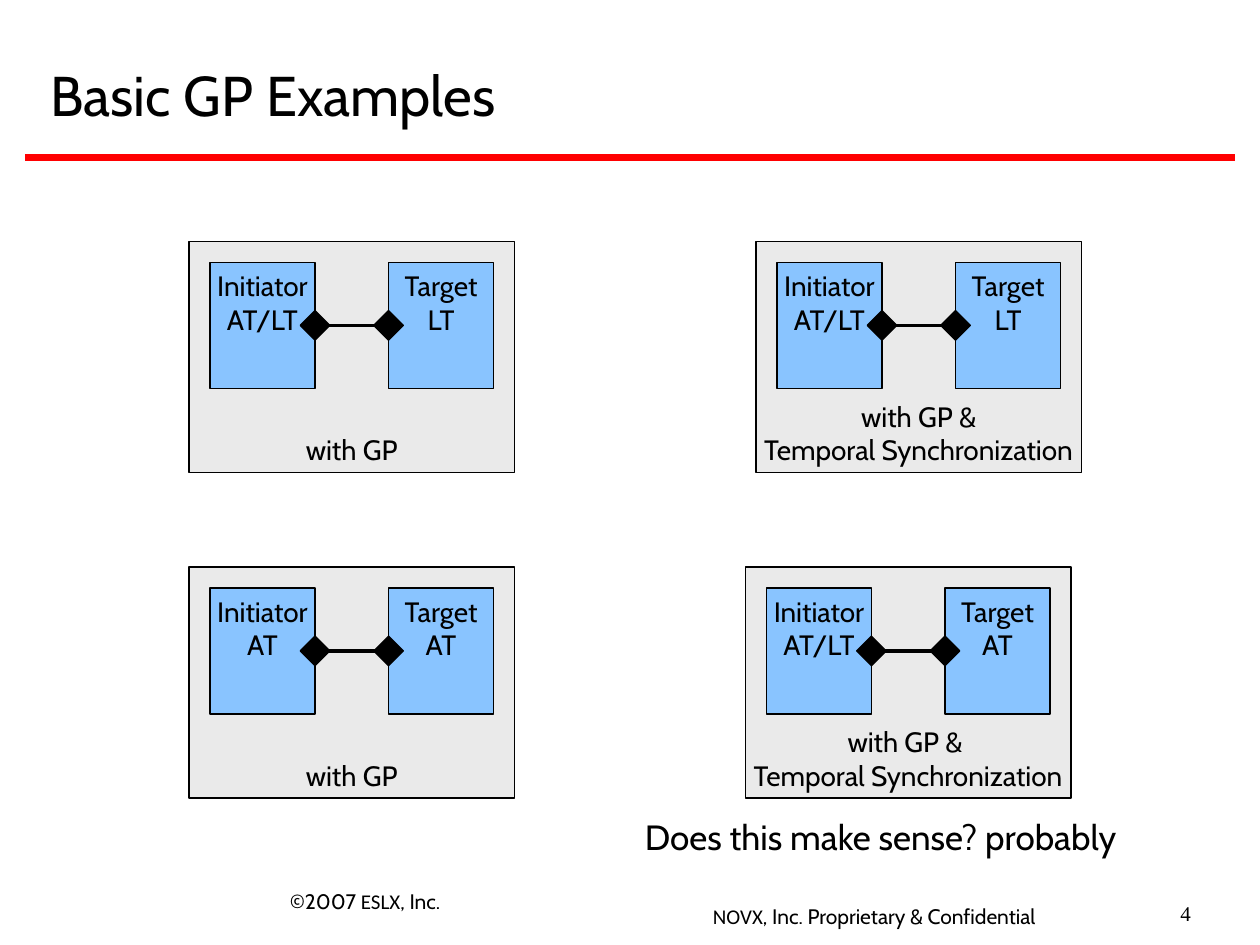
from dataclasses import dataclass

import pptx
import pptx.dml.color
import pptx.enum.shapes
import pptx.enum.text
import pptx.oxml.ns
import pptx.util
from lxml import etree

Pt = pptx.util.Pt
ALIGN = pptx.enum.text.PP_ALIGN
ANCHOR = pptx.enum.text.MSO_ANCHOR
AUTO_SIZE = pptx.enum.text.MSO_AUTO_SIZE
RECTANGLE = pptx.enum.shapes.MSO_SHAPE.RECTANGLE
STRAIGHT = pptx.enum.shapes.MSO_CONNECTOR.STRAIGHT

BLACK = "000000"
RED = "FF0001"
GREY = "EAEAEA"
BLUE = "89C4FF"

PANEL_WIDTH, PANEL_HEIGHT = 186, 132
MODULE_WIDTH, MODULE_HEIGHT = 60, 72
MARGIN = 12
PORT_SIZE = 12


@dataclass
class Panel:
    left: float
    top: float
    initiator: str
    target: str
    caption: str


@dataclass
class Span:
    text: str
    font: str = "Cabin"


@dataclass
class Label:
    left: float
    top: float
    width: float
    height: float
    size: float
    spans: list[Span]
    inset: bool = True
    wrap: bool = False
    align: ALIGN = ALIGN.LEFT


PANELS = [
    Panel(108, 138, "Initiator\nAT/LT", "Target\nLT", "with GP"),
    Panel(108, 324, "Initiator\nAT", "Target\nAT", "with GP"),
    Panel(426, 324, "Initiator\nAT/LT", "Target\nAT", "with GP & \nTemporal Synchronization"),
    Panel(432, 138, "Initiator\nAT/LT", "Target\nLT", "with GP &\nTemporal Synchronization"),
]

LABELS = [
    Label(165.6, 507.6, 116, 14.4, 12,
          [Span("©2007 "), Span("ESLX", "Calibri"), Span(", Inc.")], inset=False),
    Label(400.3, 512.6, 281.5, 21.6, 12,
          [Span("NOVX", "Calibri"), Span(", Inc. Proprietary & Confidential")]),
    Label(361.4, 462.2, 375.8, 31.7, 20, [Span("Does this make sense? probably")]),
    Label(648, 511.2, 39.6, 18, 12, [Span("4", "Times New Roman")],
          wrap=True, align=ALIGN.RIGHT),
]


def color(value: str) -> pptx.dml.color.RGBColor:
    return pptx.dml.color.RGBColor.from_string(value)


def format_font(font, size: float, name: str = "Cabin") -> None:
    font.size = Pt(size)
    font.name = name
    font.color.rgb = color(BLACK)


def add_box(shapes, left: float, top: float, width: float, height: float, fill: str,
            text: str = "", anchor: ANCHOR = ANCHOR.TOP):
    box = shapes.add_shape(RECTANGLE, Pt(left), Pt(top), Pt(width), Pt(height))
    box.shadow.inherit = False
    box.fill.solid()
    box.fill.fore_color.rgb = color(fill)
    box.line.color.rgb = color(BLACK)
    box.line.width = Pt(0.75)
    if text:
        frame = box.text_frame
        frame.text = text
        frame.word_wrap = False
        frame.vertical_anchor = anchor
        for para in frame.paragraphs:
            para.alignment = ALIGN.CENTER
            for span in para.runs:
                format_font(span.font, 16)
    return box


def add_line(shapes, left: float, right: float, y: float, stroke: str, width: float) -> None:
    line = shapes.add_connector(STRAIGHT, Pt(left), Pt(y), Pt(right), Pt(y))
    line.line.color.rgb = color(stroke)
    line.line.width = Pt(width)
    properties = line._element.find(pptx.oxml.ns.qn("p:spPr"))
    etree.SubElement(properties, pptx.oxml.ns.qn("a:effectLst"))


def add_panel(page, panel: Panel) -> None:
    shapes = page.shapes.add_group_shape().shapes
    add_box(shapes, panel.left, panel.top, PANEL_WIDTH, PANEL_HEIGHT, GREY,
            panel.caption, ANCHOR.BOTTOM)

    initiator_left = panel.left + MARGIN
    target_left = panel.left + PANEL_WIDTH - MARGIN - MODULE_WIDTH
    module_top = panel.top + MARGIN
    middle = module_top + MODULE_HEIGHT / 2
    half_port = PORT_SIZE / 2
    modules = [
        (initiator_left, panel.initiator, initiator_left + MODULE_WIDTH),
        (target_left, panel.target, target_left),
    ]
    for left, text, port_center in modules:
        add_box(shapes, left, module_top, MODULE_WIDTH, MODULE_HEIGHT, BLUE, text)
        port = add_box(shapes, port_center - half_port, middle - half_port,
                       PORT_SIZE, PORT_SIZE, BLACK)
        port.rotation = 45
    add_line(shapes, initiator_left + MODULE_WIDTH + half_port, target_left - half_port,
             middle, BLACK, 2)


def add_label(page, label: Label) -> None:
    box = page.shapes.add_textbox(Pt(label.left), Pt(label.top),
                                  Pt(label.width), Pt(label.height))
    frame = box.text_frame
    frame.word_wrap = label.wrap
    frame.auto_size = AUTO_SIZE.NONE if label.wrap else AUTO_SIZE.SHAPE_TO_FIT_TEXT
    if not label.inset:
        frame.margin_left = frame.margin_right = Pt(0)
        frame.margin_top = frame.margin_bottom = Pt(0)
    para = frame.paragraphs[0]
    para.alignment = label.align
    for part in label.spans:
        span = para.add_run()
        span.text = part.text
        format_font(span.font, label.size, part.font)


def add_title(page, text: str) -> None:
    title = page.shapes.title
    title.left, title.top = Pt(21.6), Pt(32.4)
    title.width, title.height = Pt(676.8), Pt(43.2)
    frame = title.text_frame
    frame.text = text
    frame.auto_size = AUTO_SIZE.NONE
    frame.vertical_anchor = ANCHOR.MIDDLE
    para = frame.paragraphs[0]
    para.alignment = ALIGN.LEFT
    format_font(para.runs[0].font, 32)


def main() -> None:
    deck = pptx.Presentation()
    deck.slide_width, deck.slide_height = Pt(720), Pt(540)
    page = deck.slides.add_slide(deck.slide_layouts.get_by_name("Title Only"))
    add_title(page, "Basic GP Examples")
    add_line(page.shapes, 14.4, 705.6, 90, RED, 3.5)
    for panel in PANELS:
        add_panel(page, panel)
    for label in LABELS:
        add_label(page, label)
    deck.save("out.pptx")


if __name__ == "__main__":
    main()
